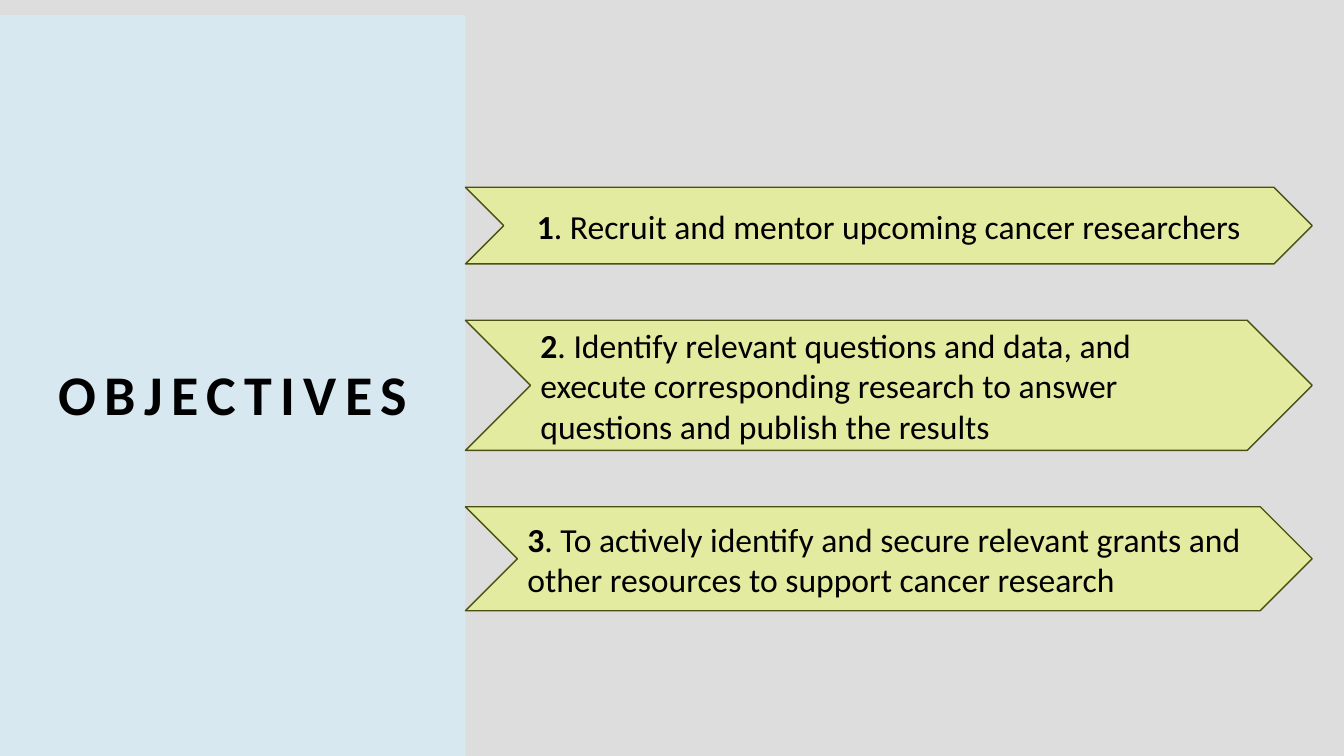
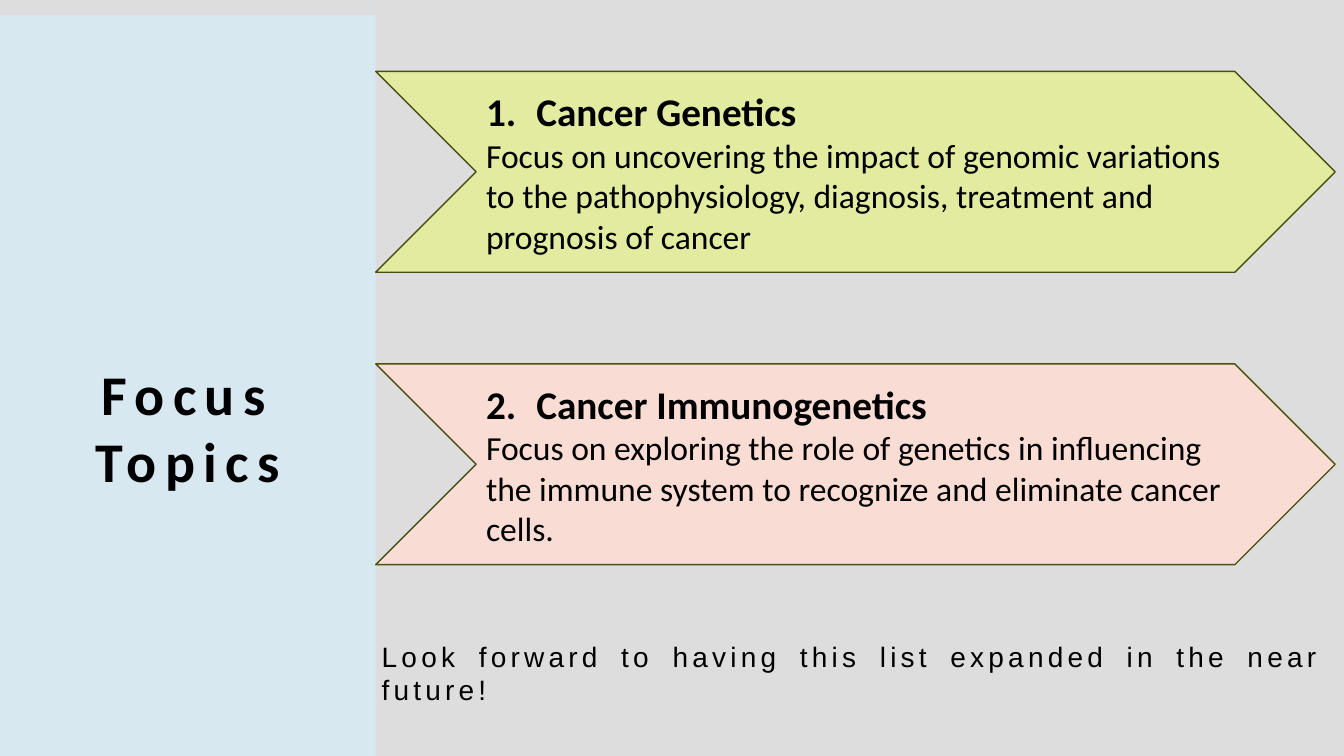
from dataclasses import dataclass

from lxml import etree
from pptx import Presentation
from pptx import util as u
from pptx.dml.color import RGBColor
from pptx.enum import shapes, text
from pptx.oxml.ns import qn
from pptx.slide import Slide
from pptx.text.text import _Paragraph as Par

BLACK, GREY, BLUE = "000000", "DDDDDD", "D8E8F1"
LIME, ROSE, OLIVE = "E2EBA0", "F9DDD4", "495011"
TOP = 0.38
ALIGN = text.PP_ALIGN


@dataclass
class Item:
    """One chevron; a head makes a numbered heading above the body."""
    num: int
    body: str
    high: float
    head: str = ""
    fill: str = LIME
    align: ALIGN = ALIGN.LEFT


GOALS = [
    Item(1, "Recruit and mentor upcoming cancer researchers", 1.93,
         align=ALIGN.CENTER),
    Item(2, "Identify relevant questions and data, and execute corresponding "
            "research to answer questions and publish the results", 3.28),
    Item(3, "To actively identify and secure relevant grants and other "
            "resources to support cancer research", 2.62),
]
TOPICS = [
    Item(1, "Focus on uncovering the impact of genomic variations to the "
            "pathophysiology, diagnosis, treatment and prognosis of cancer",
         5.06, "Cancer Genetics"),
    Item(2, "Focus on exploring the role of genetics in influencing the immune "
            "system to recognize and eliminate cancer cells.",
         5.06, "Cancer Immunogenetics", ROSE),
]


def rgb(code: str) -> RGBColor:
    return RGBColor.from_string(code)


def write(par: Par, words: str, size: float = 24, bold: bool = False,
          face: str = "Calibri", color: str = BLACK, gap: float = 0,
          align: ALIGN = ALIGN.LEFT) -> None:
    """Add a run to the paragraph; gap is the letter spacing in points."""
    par.alignment = align
    run = par.add_run()
    run.text = words
    font = run.font
    font.size, font.bold, font.name = u.Pt(size), bold, face
    font.color.rgb = rgb(color)
    if gap:
        run._r.get_or_add_rPr().set("spc", str(round(gap * 100)))


def number(par: Par, start: int) -> None:
    """Give the paragraph an automatic number with a hanging indent."""
    props = par._p.get_or_add_pPr()
    hang = u.Cm(1.27)
    props.set("marL", str(hang))
    props.set("indent", str(-hang))
    etree.SubElement(props, qn("a:buFont"), typeface="+mj-lt")
    etree.SubElement(props, qn("a:buAutoNum"), type="arabicPeriod",
                     startAt=str(start))


def panel(slide: Slide, title: str, wide: float) -> None:
    """Draw the side band behind the title."""
    band = slide.shapes.add_shape(shapes.MSO_SHAPE.RECTANGLE, 0, u.Cm(TOP),
                                  u.Cm(wide), u.Cm(19.05 - TOP))
    band.shadow.inherit = False
    band.fill.solid()
    band.fill.fore_color.rgb = rgb(BLUE)
    band.line.fill.background()
    slide.shapes._spTree.insert(2, band._element)

    head = slide.shapes.title
    head.left, head.top = 0, u.Cm(8.92)
    head.width, head.height = u.Cm(wide), u.Cm(4)
    frame = head.text_frame
    frame.word_wrap = True
    frame.auto_size = text.MSO_AUTO_SIZE.NONE
    frame.vertical_anchor = text.MSO_ANCHOR.TOP
    write(frame.paragraphs[0], title, size=40, bold=True, gap=6,
          align=ALIGN.CENTER)


def chevron(slide: Slide, item: Item, left: float, top: float,
            wide: float) -> None:
    shape = slide.shapes.add_shape(shapes.MSO_SHAPE.CHEVRON, u.Cm(left),
                                   u.Cm(top), u.Cm(wide), u.Cm(item.high))
    shape.shadow.inherit = False
    shape.fill.solid()
    shape.fill.fore_color.rgb = rgb(item.fill)
    shape.line.color.rgb = rgb(OLIVE)
    shape.line.width = u.Pt(1)
    frame = shape.text_frame
    frame.word_wrap = True
    frame.vertical_anchor = text.MSO_ANCHOR.MIDDLE
    par = frame.paragraphs[0]
    if item.head:
        write(par, item.head, size=28, bold=True)
        number(par, item.num)
        write(frame.add_paragraph(), item.body)
    else:
        write(par, str(item.num), bold=True, align=item.align)
        write(par, f". {item.body}", align=item.align)


def build(deck, title: str, items: list[Item], left: float, top: float,
          wide: float, gap: float) -> Slide:
    """Add a slide with a band up to left and chevrons stacked beside it."""
    slide = deck.slides.add_slide(deck.slide_layouts[5])
    panel(slide, title, left)
    for item in items:
        chevron(slide, item, left, top, wide)
        top += item.high + gap
    return slide


def main() -> None:
    deck = Presentation()
    deck.slide_width, deck.slide_height = u.Cm(33.87), u.Cm(19.05)
    back = deck.slide_master.background.fill
    back.solid()
    back.fore_color.rgb = rgb(GREY)

    build(deck, "OBJECTIVES", GOALS, left=11.73, top=4.72, wide=21.34, gap=1.42)
    focus = build(deck, "Focus Topics", TOPICS, left=9.47, top=1.8, wide=24.18,
                  gap=2.31)
    note = focus.shapes.add_textbox(u.Cm(9.37), u.Cm(15.98), u.Cm(24.18),
                                    u.Cm(1.96)).text_frame
    note.word_wrap = True
    write(note.paragraphs[0],
          "Look forward to having this list expanded in the near future!",
          size=20, face="Arial", gap=3, align=ALIGN.JUSTIFY)
    deck.save("out.pptx")


if __name__ == "__main__":
    main()
